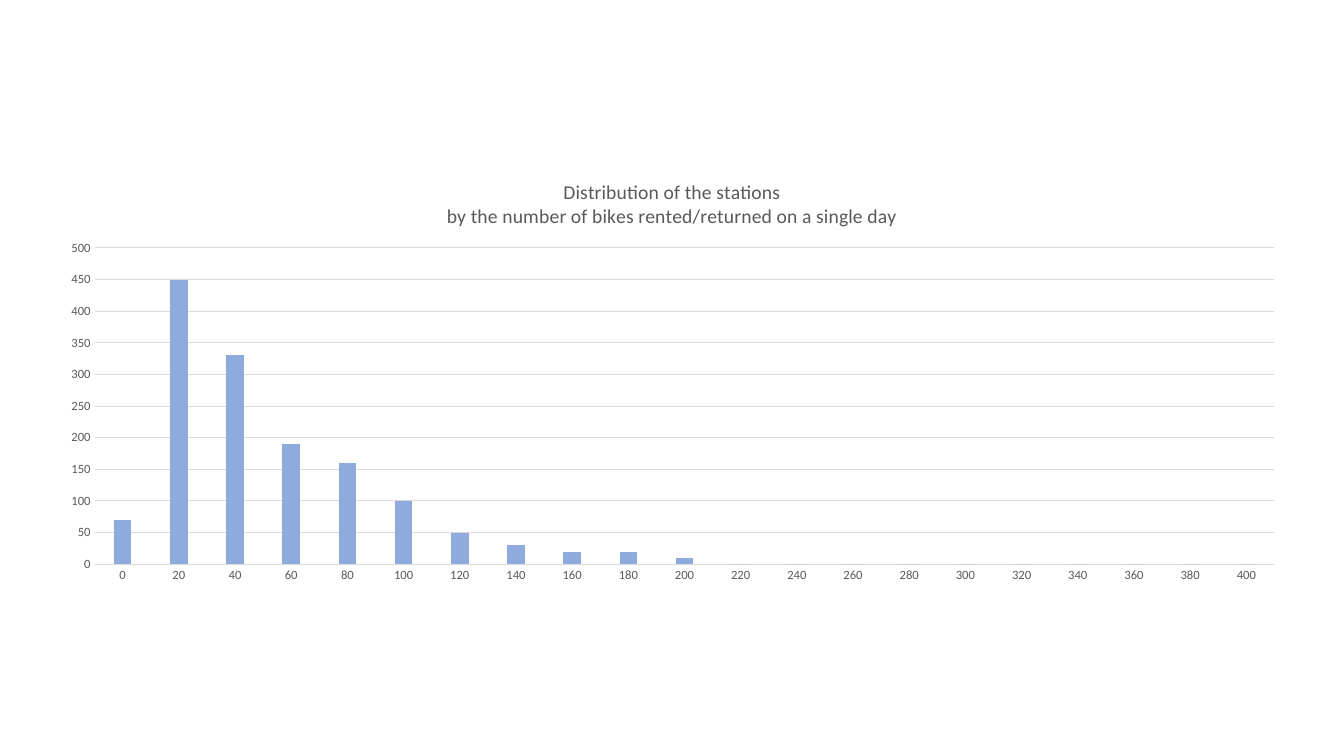
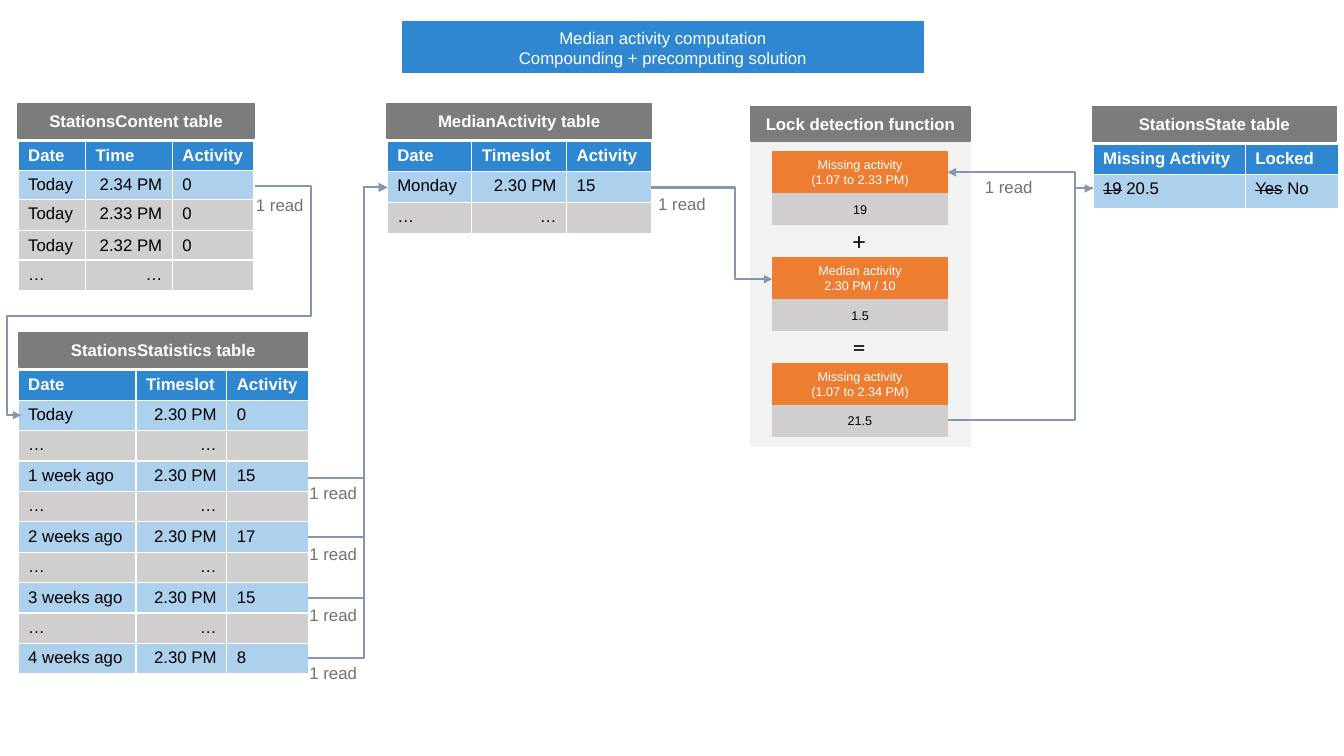
"""Build two slides: bike station activity chart and median activity data flow."""
from lxml.etree import Element, SubElement
from pptx import Presentation
from pptx.chart.data import CategoryChartData
from pptx.dml.color import RGBColor
from pptx.enum.chart import XL_CHART_TYPE, XL_TICK_MARK
from pptx.enum.shapes import MSO_CONNECTOR, MSO_SHAPE
from pptx.enum.text import MSO_ANCHOR, MSO_AUTO_SIZE, PP_ALIGN
from pptx.oxml.ns import qn
from pptx.util import Pt

PX = 9144
WHITE = RGBColor(0xFF, 0xFF, 0xFF)
BLACK = RGBColor(0x00, 0x00, 0x00)
BLUE = RGBColor(0x2E, 0x87, 0xD0)
PALE = RGBColor(0xAD, 0xD0, 0xED)
SILVER = RGBColor(0xD0, 0xCE, 0xCE)
GREY = RGBColor(0x7C, 0x7C, 0x7C)
PANEL = RGBColor(0xF2, 0xF2, 0xF2)
ORANGE = RGBColor(0xED, 0x7D, 0x31)
SLATE = RGBColor(0x84, 0x97, 0xB0)
LABEL = RGBColor(0x76, 0x71, 0x71)
BAR = RGBColor(0x8F, 0xAA, 0xDC)
GRID = RGBColor(0xD9, 0xD9, 0xD9)
INK = RGBColor(0x59, 0x59, 0x59)


def write(frame, text, size, color, bold=False, align=PP_ALIGN.LEFT, face="Arial"):
    """Write lines of text; parts between tildes are struck through."""
    for i, line in enumerate(text.split("\n")):
        para = frame.add_paragraph() if i else frame.paragraphs[0]
        para.alignment = align
        for j, part in enumerate(line.split("~")):
            if part:
                run = para.add_run()
                run.text = part
                font = run.font
                font.name, font.size, font.bold = face, Pt(size), bold
                font.color.rgb = color
                if j % 2:
                    run._r.get_or_add_rPr().set("strike", "sngStrike")
        if not line:
            SubElement(para._p, qn("a:endParaRPr"), sz=str(size * 100))


def box(area, fill, text="", size=12, color=WHITE, bold=False):
    """Add a filled rectangle with centred text."""
    rect = slide.shapes.add_shape(MSO_SHAPE.RECTANGLE, *[n * PX for n in area])
    rect.shadow.inherit = False
    rect.fill.solid()
    rect.fill.fore_color.rgb = fill
    rect.line.color.rgb = fill
    rect.line.width = Pt(1)
    if text:
        rect.text_frame.vertical_anchor = MSO_ANCHOR.MIDDLE
        write(rect.text_frame, text, size, color, bold, PP_ALIGN.CENTER)


deck = Presentation()
deck.slide_width, deck.slide_height = 1333 * PX, 750 * PX

slide = deck.slides.add_slide(deck.slide_layouts[6])
data = CategoryChartData()
data.categories = [str(n) for n in range(0, 401, 20)]
data.add_series("Series 1", [70, 450, 330, 190, 160, 100, 50, 30, 20, 20] + [10] + [0] * 10)
chart = slide.shapes.add_chart(
    XL_CHART_TYPE.COLUMN_CLUSTERED, 44 * PX, 160 * PX, 1245 * PX, 430 * PX, data).chart
chart.has_legend = False
chart.font.name, chart.font.size = "Calibri", Pt(10)
chart.has_title = True
chart.chart_title.include_in_layout = False
write(chart.chart_title.text_frame,
      "Distribution of the stations\nby the number of bikes rented/returned on a single day",
      14, INK, align=PP_ALIGN.CENTER, face="Calibri")

plot = chart.plots[0]
plot.gap_width, plot.overlap, plot.vary_by_categories = 219, -27, False
bars = plot.series[0].format.fill
bars.solid()
bars.fore_color.rgb = BAR
for axis in (chart.category_axis, chart.value_axis):
    axis.major_tick_mark = axis.minor_tick_mark = XL_TICK_MARK.NONE
    font = axis.tick_labels.font
    font.name, font.size = "Calibri", Pt(9)
    font.color.rgb = INK
rows = chart.value_axis
rows.minimum_scale, rows.maximum_scale, rows.major_unit = 0, 500, 50
rows.has_major_gridlines = True
rows.format.line.fill.background()
for line in (rows.major_gridlines.format.line, chart.category_axis.format.line):
    line.color.rgb = GRID
    line.width = Pt(0.75)

zone = chart._chartSpace.chart.plotArea
for old in zone.findall(qn("c:layout")):
    zone.remove(old)
layout = Element(qn("c:layout"))
zone.insert(0, layout)
manual = SubElement(layout, qn("c:manualLayout"))
for tag, val in (("layoutTarget", "inner"), ("xMode", "edge"), ("yMode", "edge"),
                 ("x", "0.04"), ("y", "0.2"), ("w", "0.94"), ("h", "0.73")):
    SubElement(manual, qn("c:" + tag), val=val)

slide = deck.slides.add_slide(deck.slide_layouts[5])
title = slide.shapes.title
title.left, title.top, title.width, title.height = [n * PX for n in (399, 22, 517, 50)]
title.fill.solid()
title.fill.fore_color.rgb = BLUE
title.line.color.rgb = BLUE
title.line.width = Pt(1)
frame = title.text_frame
frame.auto_size = MSO_AUTO_SIZE.NONE
frame.vertical_anchor = MSO_ANCHOR.MIDDLE
write(frame, "Median activity computation\nCompounding + precomputing solution",
      12, WHITE, align=PP_ALIGN.CENTER)

box((745, 140, 217, 303), PANEL)
box((745, 106, 217, 34), GREY, "Lock detection function", bold=True)
steps = [("Missing activity\n(1.07 to 2.33 PM)", "19", "+"),
         ("Median activity\n2.30 PM / 10", "1.5", "="),
         ("Missing activity\n(1.07 to 2.34 PM)", "21.5", "")]
notes = []
for i, (head, count, sign) in enumerate(steps):
    top = 151 + 105 * i
    box((766, top, 174, 40), ORANGE, head, 9)
    box((766, top + 41, 174, 31), SILVER, count, 9, BLACK)
    if sign:
        notes.append((836, top + 68, 33, 40, sign, 18, BLACK, "Calibri"))

gap = ("…", "…", "")
tables = [
    ("StationsContent table", 18, 103, 18, 234, (67, 86, 81), (29, 29, 31, 29, 29), {1},
     [("Date", "Time", "Activity"), ("Today", "2.34 PM", "0"),
      ("Today", "2.33 PM", "0"), ("Today", "2.32 PM", "0"), gap]),
    ("StationsStatistics table", 18, 330, 19, 286, (117, 90, 81), (30,) * 10, {1, 3, 5, 7, 9},
     [("Date", "Timeslot", "Activity"), ("Today", "2.30 PM", "0"), gap,
      ("1 week ago", "2.30 PM", "15"), gap, ("2 weeks ago", "2.30 PM", "17"), gap,
      ("3 weeks ago", "2.30 PM", "15"), gap, ("4 weeks ago", "2.30 PM", "8")]),
    ("MedianActivity table", 384, 103, 384, 262, (84, 94, 84), (30, 31, 31), {1},
     [("Date", "Timeslot", "Activity"), ("Monday", "2.30 PM", "15"), gap]),
    ("StationsState table", 1084, 106, 1084, 241, (151, 93), (30, 34), {1},
     [("Missing Activity", "Locked"), ("~19~ 20.5", "~Yes~ No")]),
]
for name, left, top, start, width, cols, highs, pale, body in tables:
    grid = slide.shapes.add_table(len(highs), len(cols), left * PX, (top + 37) * PX,
                                  sum(cols) * PX, sum(highs) * PX).table
    for col, wide in zip(grid.columns, cols):
        col.width = wide * PX
    for r, (row, high) in enumerate(zip(grid.rows, highs)):
        row.height = high * PX
        for c, text in enumerate(body[r]):
            cell = grid.cell(r, c)
            right = r > 0 and c == 1 and len(cols) == 3
            write(cell.text_frame, text, 12, BLACK if r else WHITE, r == 0,
                  PP_ALIGN.RIGHT if right else PP_ALIGN.LEFT)
            props = cell._tc.get_or_add_tcPr()
            for side in ("lnL", "lnR", "lnT", "lnB"):
                edge = SubElement(props, qn("a:" + side), w="12700")
                SubElement(SubElement(edge, qn("a:solidFill")), qn("a:srgbClr"), val=str(WHITE))
            cell.fill.solid()
            cell.fill.fore_color.rgb = BLUE if r == 0 else PALE if r in pale else SILVER
    box((start, top, width, 34), GREY, name, bold=True)

wires = [((305, y), (361,), (384, 186)) for y in (474, 533, 593, 653)]
wires += [((646, 186), (729,), (766, 277)),
          ((1084, 187), (1066,), (940, 171)),
          ((940, 417), (1066,), (1084, 187)),
          ((253, 185), (309, 314, 7), (21, 412))]
for start, bends, end in wires:
    wire = slide.shapes.add_connector(MSO_CONNECTOR.ELBOW, *[n * PX for n in start + end])
    wire.line.color.rgb = SLATE
    wire.line.width = Pt(1.5)
    SubElement(wire.line._get_or_add_ln(), qn("a:tailEnd"), type="triangle")
    props = wire._element.spPr
    SubElement(props, qn("a:effectLst"))
    geom = props.find(qn("a:prstGeom"))
    geom.set("prst", f"bentConnector{len(bends) + 2}")
    guides = geom.find(qn("a:avLst"))
    if guides is None:
        guides = SubElement(geom, qn("a:avLst"))
    for i, bend in enumerate(bends):
        k = i % 2
        share = round((bend - start[k]) / (end[k] - start[k]) * 100000)
        SubElement(guides, qn("a:gd"), name=f"adj{i + 1}" if len(bends) > 1 else "adj1",
                   fmla=f"val {share}")

reads = [(244, 188), (297, 474), (297, 535), (297, 595), (297, 653), (643, 187), (967, 170)]
notes += [(x, y, 68, 30, "1 read", 12, LABEL, "Arial") for x, y in reads]
for *area, text, size, color, face in notes:
    frame = slide.shapes.add_textbox(*[n * PX for n in area]).text_frame
    frame.word_wrap = False
    frame.auto_size = MSO_AUTO_SIZE.SHAPE_TO_FIT_TEXT
    write(frame, text, size, color, face=face)

deck.save("out.pptx")
